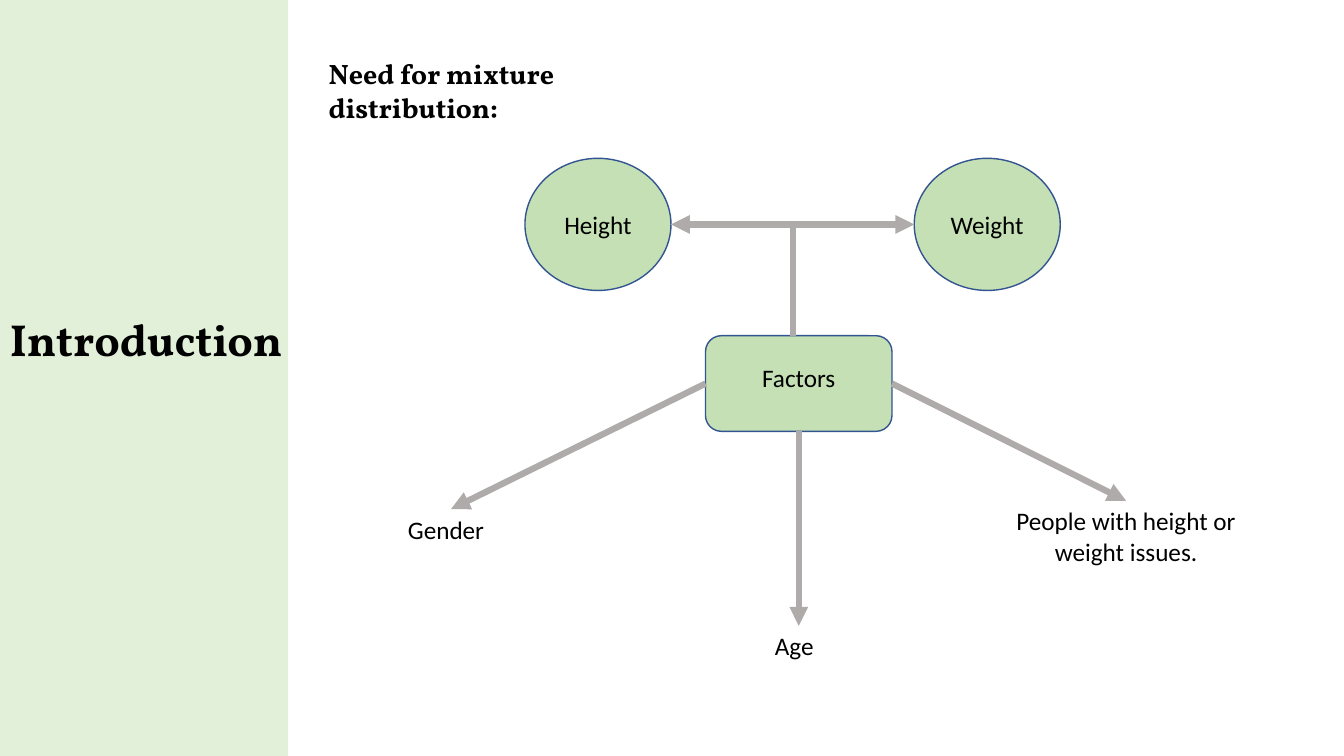
from dataclasses import dataclass

from lxml import etree
from pptx import Presentation
from pptx.dml.color import RGBColor
from pptx.enum.shapes import MSO_CONNECTOR, MSO_SHAPE
from pptx.enum.text import MSO_ANCHOR, PP_ALIGN
from pptx.oxml.ns import qn
from pptx.util import Cm, Pt

RECTANGLE, ROUNDED, ELLIPSE = MSO_SHAPE.RECTANGLE, MSO_SHAPE.ROUNDED_RECTANGLE, MSO_SHAPE.OVAL
STRAIGHT = MSO_CONNECTOR.STRAIGHT
LEFT, CENTER = PP_ALIGN.LEFT, PP_ALIGN.CENTER
MIDDLE = MSO_ANCHOR.MIDDLE
TOP_SIDE, LEFT_SIDE, BOTTOM_SIDE, RIGHT_SIDE = range(4)


@dataclass(frozen=True)
class Theme:
    panel: RGBColor = RGBColor(0xE2, 0xF0, 0xD9)
    node: RGBColor = RGBColor(0xC5, 0xE0, 0xB4)
    outline: RGBColor = RGBColor(0x32, 0x54, 0x91)
    arrow: RGBColor = RGBColor(0xAF, 0xAB, 0xAB)
    text: RGBColor = RGBColor(0, 0, 0)
    heading_font: str = "Vollkorn"
    body_font: str = "Calibri"
    title_size: int = 32
    heading_size: int = 20
    body_size: int = 18
    outline_width: float = 1
    arrow_width: float = 4.5


THEME = Theme()


def write(shape, text, size, font, bold=False, align=LEFT):
    shape.text_frame.word_wrap = True
    paragraph = shape.text_frame.paragraphs[0]
    paragraph.alignment = align
    run = paragraph.add_run()
    run.text = text
    run.font.size = Pt(size)
    run.font.name = font
    run.font.bold = bold
    run.font.color.rgb = THEME.text


def add_heading(slide, box, text, size):
    shape = slide.shapes.add_textbox(*map(Cm, box))
    write(shape, text, size, THEME.heading_font, bold=True)


def add_label(slide, box, text, align=LEFT):
    shape = slide.shapes.add_textbox(*map(Cm, box))
    write(shape, text, THEME.body_size, THEME.body_font, align=align)
    return shape


def add_node(slide, kind, box, text, bottom_margin=0):
    shape = slide.shapes.add_shape(kind, *map(Cm, box))
    shape.shadow.inherit = False
    shape.fill.solid()
    shape.fill.fore_color.rgb = THEME.node
    shape.line.color.rgb = THEME.outline
    shape.line.width = Pt(THEME.outline_width)
    frame = shape.text_frame
    frame.margin_left = frame.margin_right = frame.margin_top = 0
    frame.margin_bottom = Cm(bottom_margin)
    frame.vertical_anchor = MIDDLE
    write(shape, text, THEME.body_size, THEME.body_font, align=CENTER)
    return shape


def add_line(slide, start=(0, 0), end=(0, 0), arrowheads=()):
    connector = slide.shapes.add_connector(STRAIGHT, *start, *end)
    connector.line.color.rgb = THEME.arrow
    connector.line.width = Pt(THEME.arrow_width)
    line = connector.line._get_or_add_ln()
    for arrowhead in arrowheads:
        etree.SubElement(line, qn("a:" + arrowhead)).set("type", "triangle")
    etree.SubElement(connector._element.spPr, qn("a:effectLst"))
    return connector


def add_side_panel(slide, left, top, width, height):
    panel = slide.shapes.add_shape(RECTANGLE, *map(Cm, (left, top, width, height)))
    panel.shadow.inherit = False
    panel.fill.solid()
    panel.fill.fore_color.rgb = THEME.panel
    panel.line.fill.background()
    # The title box reaches a little past the panel
    add_heading(slide, (left, top + 7.72, width + 0.87, 1.63), "Introduction", THEME.title_size)


def add_factor_diagram(slide, left, top):
    def place(x, y, width, height):
        return left + x, top + y, width, height

    # Measured quantities
    height_node, weight_node = [
        add_node(slide, ELLIPSE, place(x, 0, 3.68, 3.33), text)
        for x, text in ((3.2, "Height"), (13.01, "Weight"))
    ]
    factors = add_node(slide, ROUNDED, place(7.75, 4.47, 4.7, 2.41), "Factors", 0.3)

    # Link between the quantities, with a stem down to the factors
    middle = height_node.top + height_node.height // 2
    stem = Cm(left + 9.96)
    add_line(slide, (stem, middle), (stem, factors.top))
    add_line(slide, (height_node.left + height_node.width, middle),
             (weight_node.left, middle), ("headEnd", "tailEnd"))

    # Factors and the arrows that lead to them
    branches = (
        (LEFT_SIDE, (0, 8.84, 2.67, 1.02), "Gender", LEFT),
        (BOTTOM_SIDE, (9.25, 11.78, 1.7, 1.02), "Age", LEFT),
        (RIGHT_SIDE, (15.19, 8.63, 6.32, 1.8), "People with height or weight issues.", CENTER),
    )
    for side, box, text, align in branches:
        label = add_label(slide, place(*box), text, align)
        arrow = add_line(slide, arrowheads=("tailEnd",))
        arrow.begin_connect(factors, side)
        arrow.end_connect(label, TOP_SIDE)


def main():
    presentation = Presentation()
    presentation.slide_width, presentation.slide_height = Cm(33.87), Cm(19.05)
    slide = presentation.slides.add_slide(presentation.slide_layouts[6])
    add_side_panel(slide, 0, 0, 7.26, 19.05)
    add_factor_diagram(slide, 10.03, 3.99)
    add_heading(slide, (8.03, 1.3, 10.41, 1.12), "Need for mixture distribution:",
                THEME.heading_size)
    presentation.save("out.pptx")


if __name__ == "__main__":
    main()
